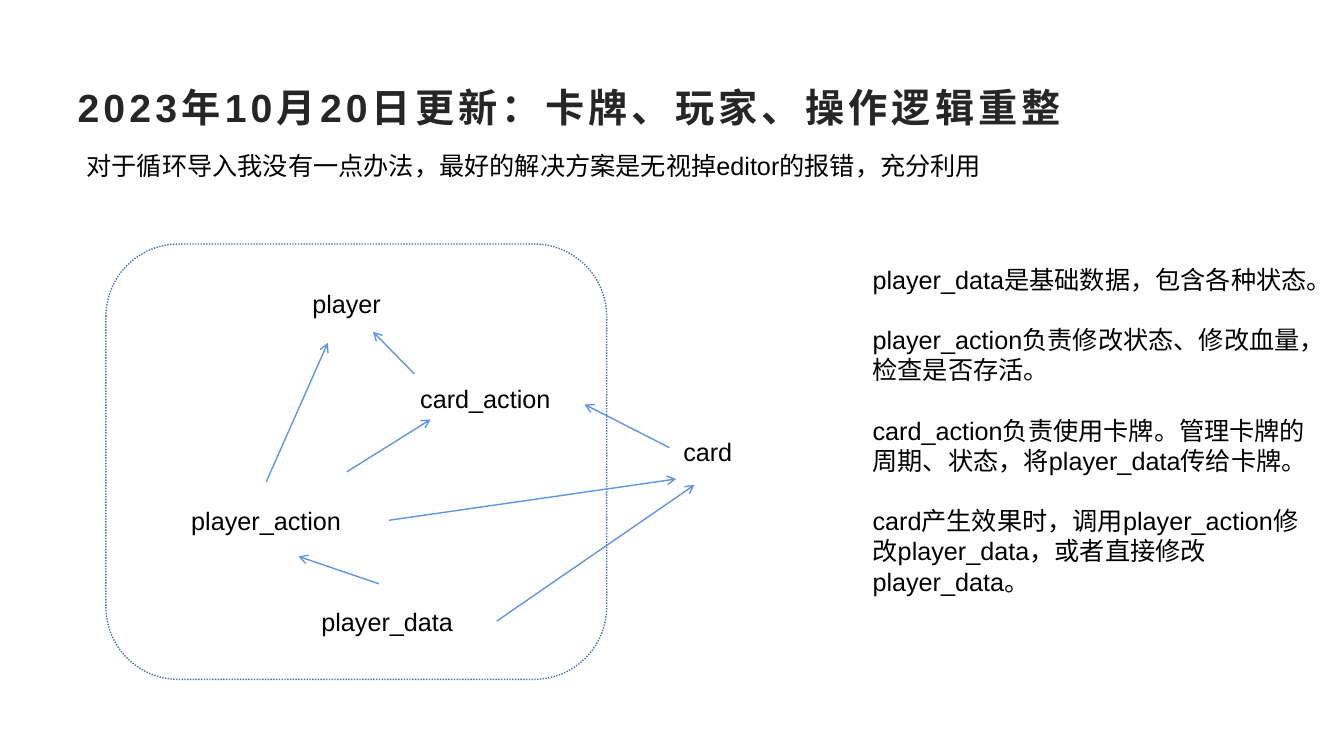
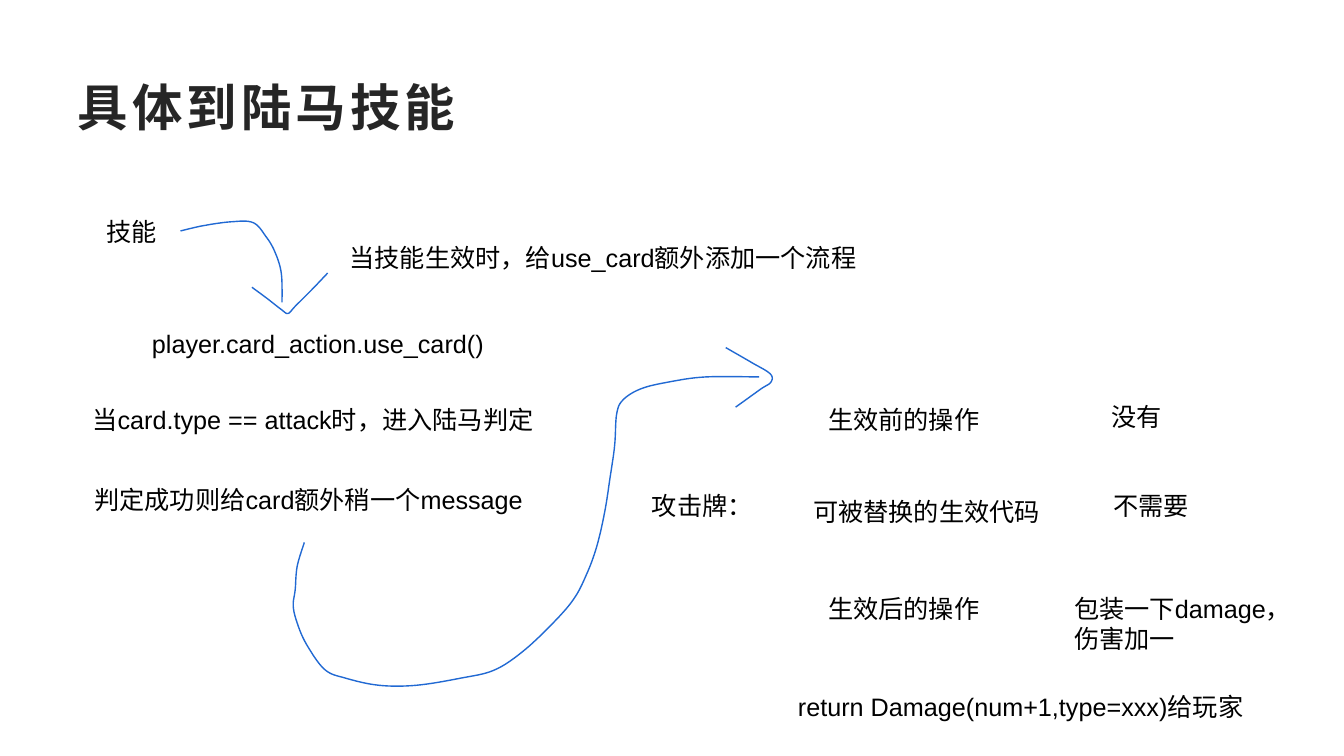
from pptx import Presentation
from pptx.dml.color import RGBColor
from pptx.enum.dml import MSO_LINE
from pptx.enum.lang import MSO_LANGUAGE_ID
from pptx.enum.shapes import MSO_CONNECTOR, MSO_SHAPE
from pptx.enum.text import MSO_ANCHOR, MSO_AUTO_SIZE, PP_ALIGN
from pptx.oxml.ns import qn
from pptx.util import Cm, Pt
from lxml import etree

STRAIGHT = MSO_CONNECTOR.STRAIGHT
ROUNDED = MSO_SHAPE.ROUNDED_RECTANGLE
DOTTED = MSO_LINE.ROUND_DOT
CHINESE = MSO_LANGUAGE_ID.SIMPLIFIED_CHINESE
LEFT, TOP, MIDDLE = PP_ALIGN.LEFT, MSO_ANCHOR.TOP, MSO_ANCHOR.MIDDLE
NO_FIT = MSO_AUTO_SIZE.NONE

# Shared style
INK, BLACK = "262626", "000000"
ARROW, FRAME, PEN = "6096E6", "476FAA", "2169D3"
BASE = {"name": "Arial", "language_id": CHINESE}
HEAD = {**BASE, "bold": True}
BODY = {**BASE, "size": Pt(18), "bold": False}
TITLE_BOX = (1.7, 1.7, 30.48, 1.96)
ROW = 1.02


def color(code):
    return RGBColor.from_string(code)


def smooth(points, steps=8):
    """Catmull-Rom curve through the points, as a list of points."""
    ends = [points[0], *points, points[-1]]
    curve = [points[0]]
    for a, b, c, d in zip(ends, ends[1:], ends[2:], ends[3:]):
        for step in range(1, steps + 1):
            t = step / steps
            curve.append(tuple(
                (2 * q + (r - p) * t + (2 * p - 5 * q + 4 * r - s) * t ** 2
                 + (3 * q - p - 3 * r + s) * t ** 3) / 2
                for p, q, r, s in zip(a, b, c, d)))
    return curve


class Deck:
    def __init__(self):
        self.prs = Presentation()
        self.prs.slide_width, self.prs.slide_height = Cm(33.87), Cm(19.05)
        self.slide = None

    def style(self, run, form, code):
        for key, value in form.items():
            setattr(run.font, key, value)
        run.font.color.rgb = color(code)

    def stroke(self, shape, code):
        shape.line.color.rgb = color(code)
        shape.line.width = Pt(1)

    def page(self, text, size):
        self.slide = self.prs.slides.add_slide(self.prs.slide_layouts[5])
        title = self.slide.shapes.title
        places = ("left", "top", "width", "height")
        for key, value in zip(places, TITLE_BOX):
            setattr(title, key, Cm(value))
        frame = title.text_frame
        frame.auto_size, frame.vertical_anchor = NO_FIT, MIDDLE
        par = frame.paragraphs[0]
        par.alignment = LEFT
        run = par.add_run()
        run.text = text
        self.style(run, {**HEAD, "size": Pt(size)}, INK)
        run._r.get_or_add_rPr().set("spc", "300")

    def text(self, lines, x, y, w, h=ROW):
        box = self.slide.shapes.add_textbox(Cm(x), Cm(y), Cm(w), Cm(h))
        frame = box.text_frame
        frame.word_wrap, frame.vertical_anchor = True, TOP
        for i, line in enumerate(lines.split("\n")):
            par = frame.add_paragraph() if i else frame.paragraphs[0]
            par.space_before = Pt(21.5 if i else 0)
            run = par.add_run()
            run.text = line
            self.style(run, BODY, BLACK)

    def arrow(self, *ends):
        line = self.slide.shapes.add_connector(STRAIGHT, *map(Cm, ends))
        self.stroke(line, ARROW)
        tip = etree.SubElement(line.line._get_or_add_ln(), qn("a:tailEnd"))
        tip.set("type", "arrow")
        etree.SubElement(line._element.spPr, qn("a:effectLst"))

    def frame(self, *place):
        box = self.slide.shapes.add_shape(ROUNDED, *map(Cm, place))
        box.shadow.inherit = False
        box.fill.background()
        self.stroke(box, FRAME)
        box.line.dash_style = DOTTED

    def curve(self, points):
        start, *rest = [(Cm(x), Cm(y)) for x, y in smooth(points)]
        pen = self.slide.shapes.build_freeform(*start)
        pen.add_line_segments(rest, close=False)
        shape = pen.convert_to_shape()
        shape.shadow.inherit = False
        shape.fill.background()
        self.stroke(shape, PEN)

    def save(self):
        self.prs.save("out.pptx")


# Slide 1: modules and their links
NOTES = "\n".join((
    "player_data是基础数据，包含各种状态。",
    "player_action负责修改状态、修改血量，检查是否存活。",
    "card_action负责使用卡牌。管理卡牌的周期、状态，将player_data传给卡牌。",
    "card产生效果时，调用player_action修改player_data，或者直接修改player_data。",
))
MODULES = (
    ("player_data", 7.85, 15.16, 4.19, 1.12),
    ("player_action", 4.57, 12.62, 4.62),
    ("card", 16.97, 10.87, 1.96),
    ("card_action", 10.34, 9.53, 5.38),
    ("player", 7.62, 7.14, 2.69, 1.07),
)
LINKS = (
    (6.71, 12.14, 8.26, 8.64),
    (10.44, 9.42, 9.4, 8.36),
    (8.74, 11.89, 10.85, 10.57),
    (9.55, 14.71, 7.52, 14.02),
    (12.52, 15.65, 17.5, 12.22),
    (9.8, 13.11, 17.04, 12.07),
    (16.87, 11.28, 14.73, 10.19),
)

# Slide 2: skill flow and hand-drawn arrows
STEPS = (
    ("技能", 2.44, 5.33, 2.24, 1.17),
    ("player.card_action.use_card()", 3.58, 8.15, 12.6),
    ("当card.type == attack时，进入陆马判定", 2.08, 10.06, 12.24),
    ("判定成功则给card额外稍一个message", 2.13, 12.07, 11.86),
    ("当技能生效时，给use_card额外添加一个流程", 8.56, 5.97, 13.41),
    ("生效前的操作", 20.62, 10.06, 5.31, 1.12),
    ("可被替换的生效代码", 20.24, 12.37, 7.19, 1.12),
    ("生效后的操作", 20.62, 14.83, 5.49, 1.12),
    ("攻击牌：", 16.18, 12.24, 3.35),
    ("没有", 27.76, 9.98, 2.97, 1.19),
    ("不需要", 27.81, 12.24, 4.09),
    ("包装一下damage，伤害加一", 26.82, 14.83, 6.02, 1.85),
    ("return Damage(num+1,type=xxx)给玩家", 19.86, 17.3, 13.31),
)
SKILL_ARC = ((4.55, 5.82), (5.11, 5.69), (5.82, 5.59), (6.38, 5.61),
             (6.71, 5.97), (6.93, 6.35), (7.09, 6.88), (7.11, 7.62))
SKILL_TIP = ((6.35, 7.24), (6.73, 7.52), (7.09, 7.8), (7.26, 7.9),
             (7.44, 7.72), (7.87, 7.29), (8.26, 6.88))
CARD_ARC = ((7.67, 13.67), (7.49, 14.27), (7.44, 14.86), (7.39, 15.27),
            (7.49, 15.7), (7.72, 16.23), (8.18, 16.87), (8.71, 17.09),
            (9.55, 17.27), (10.49, 17.27), (11.61, 17.09), (12.45, 16.89),
            (13.16, 16.43), (13.89, 15.75), (14.45, 15.11), (14.78, 14.48),
            (15.04, 13.77), (15.24, 12.9), (15.37, 12.07), (15.49, 11.23),
            (15.54, 10.44), (15.7, 10.08), (16.15, 9.8), (16.84, 9.63),
            (17.78, 9.5), (19.13, 9.5))
CARD_TIP = ((18.29, 8.76), (18.95, 9.14), (19.41, 9.42), (19.43, 9.63),
            (19.18, 9.8), (18.75, 10.11), (18.54, 10.26))


def main():
    deck = Deck()

    deck.page("2023年10月20日更新：卡牌、玩家、操作逻辑重整", 28)
    deck.text("对于循环导入我没有一点办法，最好的解决方案是无视掉editor的报错，充分利用",
              1.93, 3.66, 27.91)
    deck.frame(2.67, 6.15, 12.62, 10.97)
    for module in MODULES:
        deck.text(*module)
    for link in LINKS:
        deck.arrow(*link)
    deck.text(NOTES, 21.74, 6.53, 11.51, 11.25)

    deck.page("具体到陆马技能", 36)
    for step in STEPS:
        deck.text(*step)
    for points in (SKILL_ARC, SKILL_TIP, CARD_ARC, CARD_TIP):
        deck.curve(points)

    deck.save()


if __name__ == "__main__":
    main()
